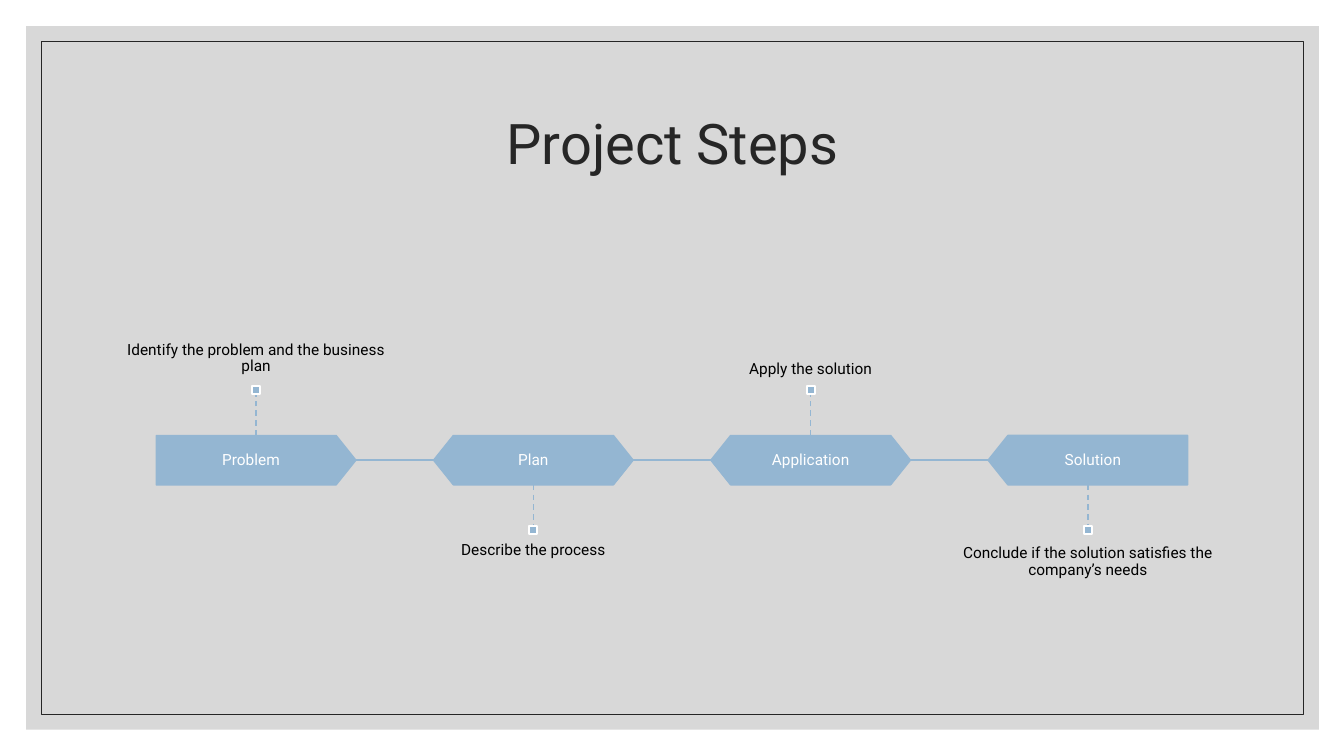
import pptx
import pptx.util
import pptx.dml.color
import pptx.enum.dml
import pptx.enum.shapes
import pptx.enum.text
import pptx.oxml
import pptx.oxml.ns

Inches = pptx.util.Inches
Pt = pptx.util.Pt
RGB = pptx.dml.color.RGBColor
Shape = pptx.enum.shapes.MSO_SHAPE
Anchor = pptx.enum.text.MSO_ANCHOR

BLUE = RGB(0x94, 0xB6, 0xD2)
GRAY = RGB(0xBF, 0xBF, 0xBF)
DARK = RGB(0x26, 0x26, 0x26)
WHITE = RGB(0xFF, 0xFF, 0xFF)
BLACK = RGB(0, 0, 0)


class Board:
    font = "Roboto"

    def __init__(self, slide):
        self.shapes = slide.shapes

    def shape(self, kind, x, y, w, h, fill=None, line=None, width=1):
        item = self.shapes.add_shape(kind, Inches(x), Inches(y), Inches(w), Inches(h))
        item.shadow.inherit = False
        if fill is None:
            item.fill.background()
        else:
            item.fill.solid()
            item.fill.fore_color.rgb = fill
        if line is None:
            item.line.fill.background()
        else:
            item.line.color.rgb = line
            item.line.width = Pt(width)
        return item

    def text(self, words, x, y, w, h, size, color, anchor=Anchor.MIDDLE, pad=(0.09, 0.09)):
        """Centred text; pad is the side inset, then the top and bottom one."""
        box = self.shapes.add_textbox(Inches(x), Inches(y), Inches(w), Inches(h))
        frame = box.text_frame
        frame.word_wrap = True
        frame.vertical_anchor = anchor
        frame.margin_left = frame.margin_right = Inches(pad[0])
        frame.margin_top = frame.margin_bottom = Inches(pad[1])
        para = frame.paragraphs[0]
        para.alignment = pptx.enum.text.PP_ALIGN.CENTER
        para.line_spacing = 0.9
        run = para.add_run()
        run.text = words
        run.font.name = self.font
        run.font.size = Pt(size)
        run.font.color.rgb = color

    def line(self, x1, y1, x2, y2, dash=False):
        item = self.shapes.add_connector(
            pptx.enum.shapes.MSO_CONNECTOR.STRAIGHT,
            Inches(x1), Inches(y1), Inches(x2), Inches(y2))
        item.line.color.rgb = BLUE
        item.line.width = Pt(1)
        if dash:
            item.line.dash_style = pptx.enum.dml.MSO_LINE.DASH
        props = item._element.spPr
        props.append(pptx.oxml.parse_xml(
            "<a:effectLst %s/>" % pptx.oxml.ns.nsdecls("a")))
        return item

    def fade(self, item, part):
        """Make the solid fill of item opaque only to the given part."""
        color = item._element.spPr.find(".//" + pptx.oxml.ns.qn("a:srgbClr"))
        color.append(pptx.oxml.parse_xml(
            '<a:alpha %s val="%d"/>' % (pptx.oxml.ns.nsdecls("a"), part * 100000)))


STEPS = [
    ("Problem", "Identify the problem and the business plan"),
    ("Plan", "Describe the process"),
    ("Application", "Apply the solution"),
    ("Solution", "Conclude if the solution satisfies the company’s needs"),
]
LEFT, TOP, STEP = 1.55, 4.32, 2.75
WIDE, HIGH = 1.98, 0.49
STEM, DOT, NOTE = 0.41, 0.08, 1.3


def draw(board):
    panel = board.shape(Shape.RECTANGLE, 0.26, 0.26, 12.82, 6.98, GRAY)
    board.fade(panel, 0.6)
    board.shape(Shape.RECTANGLE, 0.41, 0.41, 12.52, 6.68, line=DARK, width=0.5)
    board.text("Project Steps", 1.17, 0.7, 11, 1.5, 40, DARK)

    last = len(STEPS) - 1
    for i, (name, note) in enumerate(STEPS):
        x = LEFT + i * STEP
        mid = x + WIDE / 2
        above = i % 2 == 0
        ends = i in (0, last)

        kind = Shape.PENTAGON if ends else Shape.HEXAGON
        block = board.shape(kind, x, TOP, WIDE, HIGH, BLUE, BLUE)
        block.adjustments[0] = 0.4
        if i == last:
            block.rotation = 180
        # End blocks centre their label on the part away from the tip
        shift = {0: -0.05, last: 0.05}.get(i, 0)
        wide = 1.88 if ends else 1.52
        board.text(name, mid + shift - wide / 2, TOP, wide, HIGH, 11, WHITE)

        if i < last:
            board.line(x + WIDE, TOP + HIGH / 2, x + STEP, TOP + HIGH / 2)

        if above:
            edge, tip = TOP, TOP - STEM
            dot_y, note_y = tip - DOT, tip - DOT - NOTE
            anchor, side = Anchor.BOTTOM, 2
        else:
            edge, tip = TOP + HIGH, TOP + HIGH + STEM
            dot_y, note_y = tip, tip + DOT
            anchor, side = Anchor.TOP, 0
        stem = board.line(mid, edge, mid, tip, dash=True)
        dot = board.shape(Shape.RECTANGLE, mid - DOT / 2, dot_y, DOT, DOT, BLUE, WHITE, 1.5)
        stem.end_connect(dot, side)
        board.text(note, mid - STEP / 2, note_y, STEP, NOTE, 11, BLACK, anchor, (0, 0.11))


def main():
    deck = pptx.Presentation()
    deck.slide_width = Inches(13.33)
    deck.slide_height = Inches(7.5)
    draw(Board(deck.slides.add_slide(deck.slide_layouts[6])))
    deck.save("out.pptx")


if __name__ == "__main__":
    main()
